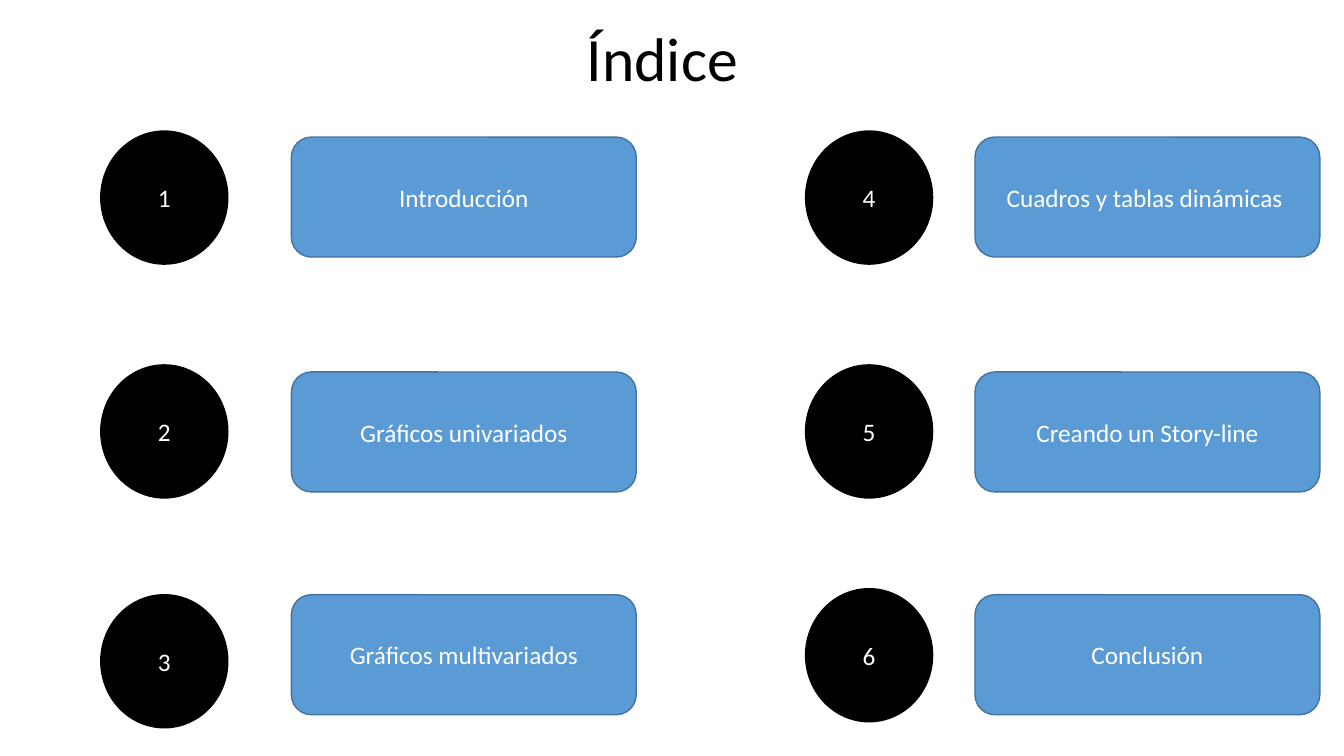
from pptx import Presentation
from pptx.dml.color import RGBColor
from pptx.enum import shapes, text
from pptx.util import Inches, Pt

COLORS = {"black": "000000", "white": "FFFFFF", "blue": "5B9BD5", "blue_edge": "43739E"}
FONT = "Calibri"
CIRCLE_SIZE = (1.26, 1.32)
LABEL_SIZE = (3.42, 1.19)
LABEL_TOPS = (1.36, 3.69, 5.9)
# Each column: circle left, label left, circle tops, first number, topics
COLUMNS = (
    (1, 2.89, (1.3, 3.62, 5.9), 1,
     ("Introducción", "Gráficos univariados", "Gráficos multivariados")),
    (7.99, 9.67, (1.3, 3.62, 5.84), 4,
     ("Cuadros y tablas dinámicas ", "Creando un Story-line", "Conclusión")),
)


def rgb(name):
    return RGBColor.from_string(COLORS[name])


def write_centred(shape, words, size, color, line_spacing=1.0):
    frame = shape.text_frame
    frame.word_wrap = True
    frame.vertical_anchor = text.MSO_ANCHOR.MIDDLE
    paragraph = frame.paragraphs[0]
    paragraph.text = words
    paragraph.alignment = text.PP_ALIGN.CENTER
    paragraph.line_spacing = line_spacing
    font_format = {"name": FONT, "size": Pt(size)}
    for attribute, value in font_format.items():
        setattr(paragraph.font, attribute, value)
    paragraph.font.color.rgb = rgb(color)


def add_title(slide, box, words):
    title = slide.shapes.add_textbox(*map(Inches, box))
    write_centred(title, words, 44, "black", 0.9)


def add_filled_shape(slide, kind, box, words, fill, edge):
    shape = slide.shapes.add_shape(kind, *map(Inches, box))
    shape.shadow.inherit = False
    shape.fill.solid()
    shape.fill.fore_color.rgb = rgb(fill)
    shape.line.color.rgb = rgb(edge)
    shape.line.width = Pt(1)
    write_centred(shape, words, 18, "white")


def add_column(slide, circle_left, label_left, circle_tops, first_number, topics):
    """Numbered circles with a topic label beside each."""
    rows = zip(circle_tops, LABEL_TOPS, topics)
    for number, (circle_top, label_top, topic) in enumerate(rows, first_number):
        add_filled_shape(slide, shapes.MSO_SHAPE.OVAL,
                         (circle_left, circle_top, *CIRCLE_SIZE),
                         str(number), "black", "black")
        add_filled_shape(slide, shapes.MSO_SHAPE.ROUNDED_RECTANGLE,
                         (label_left, label_top, *LABEL_SIZE),
                         topic, "blue", "blue_edge")


def main():
    presentation = Presentation()
    presentation.slide_width = Inches(13.33)
    presentation.slide_height = Inches(7.5)
    slide = presentation.slides.add_slide(presentation.slide_layouts[6])
    add_title(slide, (0.93, 0.13, 11.28, 0.97), "Índice")
    for column in COLUMNS:
        add_column(slide, *column)
    presentation.save("out.pptx")


if __name__ == "__main__":
    main()
